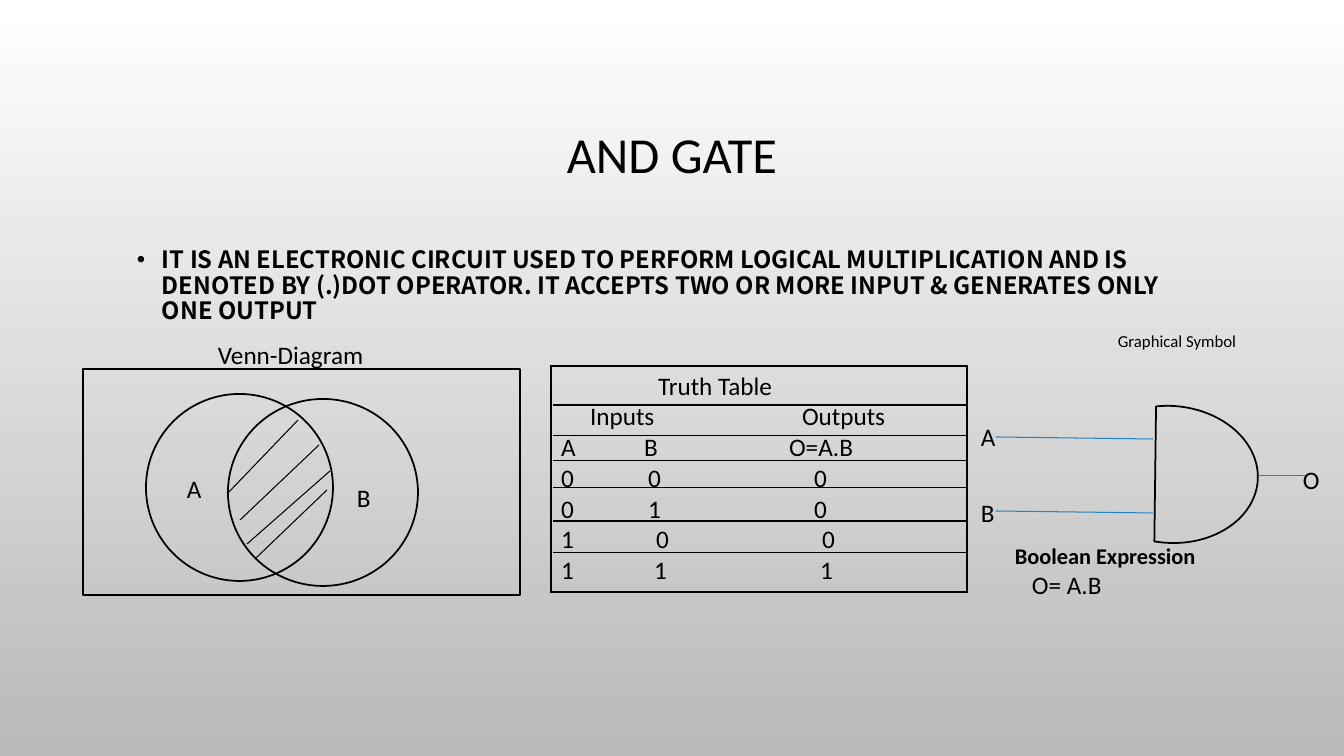
from pptx import Presentation
from pptx.dml.color import RGBColor
from pptx.enum.shapes import MSO_CONNECTOR, MSO_SHAPE
from pptx.enum.text import MSO_ANCHOR, PP_ALIGN
from pptx.oxml.ns import qn
from pptx.util import Pt
from lxml.etree import SubElement

BLACK = RGBColor(0, 0, 0)
WHITE = RGBColor(255, 255, 255)
GREY = RGBColor(0xB9, 0xB9, 0xB9)
BLUE = RGBColor(0x26, 0x83, 0xBF)
SCALE = 914400 / 100.8

TITLE = "AND GATE"
BODY = ("IT IS AN ELECTRONIC CIRCUIT USED TO PERFORM LOGICAL MULTIPLICATION "
        "AND IS DENOTED BY (.)DOT OPERATOR. IT ACCEPTS TWO OR MORE INPUT "
        "& GENERATES ONLY ONE OUTPUT")
LABELS = [
    ("Venn-Diagram", (179, 334, 341, 40), 18, 29),
    ("Graphical Symbol", (1108, 326, 202, 30), 12, 0),
    ("A", (177, 468, 41, 40), 18, 0),
    ("B", (347, 477, 54, 40), 18, 0),
    ("A", (971, 416, 30, 40), 18, 0),
    ("B", (971, 492, 35, 40), 18, 0),
    ("O", (1293, 459, 31, 40), 18, 0),
]
FORMULA = ("Boolean Expression", "O= A.B")
FORMULA_BOX = (1005, 537, 276, 68)
VENN = [
    (MSO_SHAPE.OVAL, (146, 394, 187, 187)),
    (MSO_SHAPE.OVAL, (228, 399, 190, 187)),
    (MSO_SHAPE.RECTANGLE, (83, 369, 437, 226)),
]
HATCH = [
    (298, 420, 228, 493),
    (319, 445, 240, 520),
    (330, 471, 247, 544),
    (327, 490, 256, 558),
]
GATE = (1083, 406, 175, 137)
WIRES = [
    (996, 437, 1153, 439),
    (996, 511, 1153, 513),
    (1259, 476, 1305, 476),
]
TABLE = (551, 366, 416, 226)
RULES = [366, 405, 436, 461, 488, 521, 553]
TRUTH = [
    [("Truth Table", 97)],
    [("Inputs", 29), ("Outputs", 241)],
    [("A", 0), ("B", 83), ("O=A.B", 228)],
    [("0", 0), ("0", 87), ("0", 253)],
    [("0", 0), ("1", 87), ("0", 253)],
    [("1", 0), ("0", 95), ("0", 261)],
    [("1", 0), ("1", 93), ("1", 259)],
]


def px(n):
    return round(n * SCALE)


def style(para, size, bold=False, face="Calibri"):
    font = para.font
    font.size, font.bold, font.name = Pt(size), bold, face
    font.color.rgb = BLACK


def indent(para, left, first=0):
    props = para._p.get_or_add_pPr()
    props.set("marL", str(px(left)))
    props.set("indent", str(px(first)))
    return props


def add_text(slide, box, text, size, left=0):
    frame = slide.shapes.add_textbox(*map(px, box)).text_frame
    frame.word_wrap = True
    para = frame.paragraphs[0]
    para.text = text
    if left:
        indent(para, left)
    style(para, size)
    return frame


def add_shape(slide, kind, box):
    shape = slide.shapes.add_shape(kind, *map(px, box))
    shape.shadow.inherit = False
    shape.fill.background()
    shape.line.color.rgb = BLACK
    shape.line.width = Pt(1.25)
    return shape


def add_line(slide, ends, color=BLACK):
    line = slide.shapes.add_connector(MSO_CONNECTOR.STRAIGHT, *map(px, ends))
    line.line.color.rgb = color
    line.line.width = Pt(0.75)
    SubElement(line._element.spPr, qn("a:effectLst"))


def add_head(slide):
    frame = add_text(slide, (101, 69, 1142, 176), TITLE, 36)
    frame.vertical_anchor = MSO_ANCHOR.MIDDLE
    para = frame.paragraphs[0]
    para.alignment = PP_ALIGN.CENTER
    para.line_spacing = 0.9

    frame = slide.shapes.add_textbox(*map(px, (127, 243, 1078, 92))).text_frame
    frame.word_wrap = True
    para = frame.paragraphs[0]
    para.text = BODY
    para.line_spacing = 0.9
    para.space_before = Pt(2)
    props = indent(para, 25, -25)
    SubElement(props, qn("a:buFont"), typeface="Arial")
    SubElement(props, qn("a:buChar"), char="•")
    style(para, 17, True, "Noto Sans CJK JP")


def add_truth(slide):
    table = slide.shapes.add_table(1, 1, *map(px, TABLE)).table
    table.first_row = table.horz_banding = False
    cell = table.cell(0, 0)
    props = cell._tc.get_or_add_tcPr()
    for side in "LRTB":
        edge = SubElement(props, qn("a:ln" + side), w=str(Pt(1)))
        fill = SubElement(edge, qn("a:solidFill"))
        SubElement(fill, qn("a:srgbClr"), val=str(BLACK))
    cell.fill.background()
    frame = cell.text_frame
    for i, row in enumerate(TRUTH):
        para = frame.add_paragraph() if i else frame.paragraphs[0]
        para.text = "".join("\t" + word if stop else word
                            for word, stop in row)
        tabs = SubElement(para._p.get_or_add_pPr(), qn("a:tabLst"))
        for _, stop in row:
            if stop:
                SubElement(tabs, qn("a:tab"), pos=str(px(stop)), algn="l")
        style(para, 18)
    left, _, width, _ = TABLE
    for y in RULES:
        add_line(slide, (left + 2, y, left + width + 1, y))


def add_gate(slide):
    gate = add_shape(slide, MSO_SHAPE.CHORD, GATE)
    gate.adjustments[0] = 152.36
    gate.adjustments[1] = 59.65
    gate.rotation = 4.1
    for ends in WIRES:
        add_line(slide, ends, BLUE)
    frame = add_text(slide, FORMULA_BOX, FORMULA[0], 16)
    frame.paragraphs[0].font.bold = True
    para = frame.add_paragraph()
    para.text = FORMULA[1]
    indent(para, 17)
    style(para, 18)


def main():
    deck = Presentation()
    deck.slide_width, deck.slide_height = px(1344), px(756)
    slide = deck.slides.add_slide(deck.slide_layouts[6])
    back = slide.background.fill
    back.gradient()
    back.gradient_angle = 270
    for stop, color, place in zip(back.gradient_stops, (WHITE, GREY), (0, 1)):
        stop.color.rgb = color
        stop.position = place
    add_head(slide)
    for kind, box in VENN:
        add_shape(slide, kind, box)
    for ends in HATCH:
        add_line(slide, ends)
    add_truth(slide)
    add_gate(slide)
    for text, box, size, left in LABELS:
        add_text(slide, box, text, size, left)
    deck.save("out.pptx")


if __name__ == "__main__":
    main()
